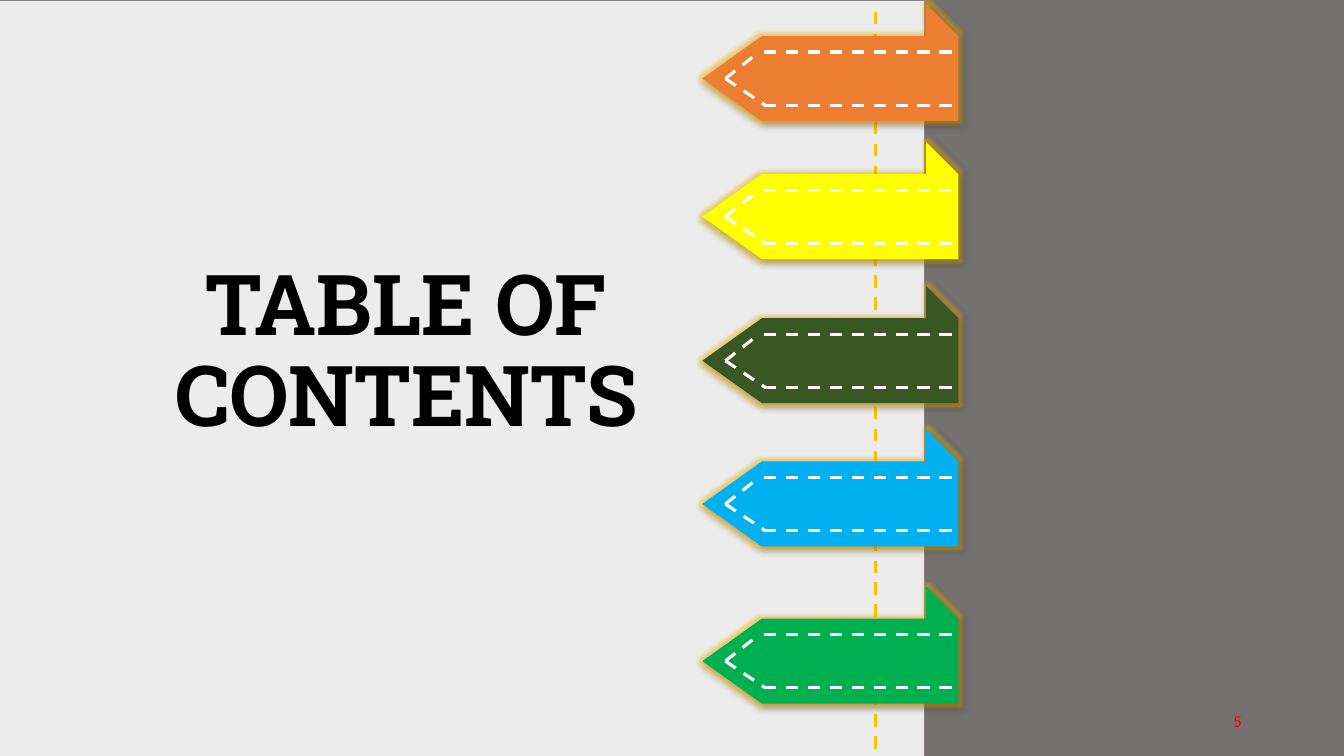
from dataclasses import dataclass

from lxml.etree import SubElement
from pptx import Presentation
from pptx.dml.color import RGBColor
from pptx.enum.dml import MSO_LINE
from pptx.enum.shapes import MSO_CONNECTOR, MSO_SHAPE
from pptx.enum.text import MSO_ANCHOR, PP_ALIGN
from pptx.oxml.ns import qn
from pptx.util import Cm, Pt


@dataclass(frozen=True)
class Theme:
    back: str = "767171"
    panel: str = "F2F2F2"
    gold: str = "FFC000"
    stitch: str = "FFFFFF"
    dark: str = "000000"
    number: str = "FF0000"
    flags: tuple = ("ED7D31", "FFFF00", "385723", "00B0F0", "00B050")
    head_font: str = "Roboto Slab"
    body_font: str = "Calibri"
    head_size: int = 60
    note_size: int = 12
    dash: float = 2.25


THEME = Theme()
FLAG_TOPS = (0.1, 3.58, 7.21, 10.82, 14.78)


def rgb(code):
    return RGBColor.from_string(code)


def tint(node, code, alpha):
    """Add a colour with an opacity in percent to an effect."""
    color = SubElement(node, qn("a:srgbClr"), val=code)
    SubElement(color, qn("a:alpha"), val=str(alpha * 1000))


def paint(shape, code, shade, glow=None):
    """Fill a shape, drop its outline and set its glow and shadow."""
    shape.fill.solid()
    shape.fill.fore_color.rgb = rgb(code)
    shape.line.fill.background()
    shape.shadow.inherit = False
    effects = shape.element.spPr.find(qn("a:effectLst"))
    if glow:
        halo = SubElement(effects, qn("a:glow"), rad=str(Pt(5)))
        tint(halo, glow, 40)
    drop = SubElement(effects, qn("a:outerShdw"), blurRad=str(Pt(4)),
                      dist=str(Pt(3)), dir="2700000", algn="tl",
                      rotWithShape="0")
    tint(drop, shade, 40)


def dashed(shapes, start, end, code):
    line = shapes.add_connector(MSO_CONNECTOR.STRAIGHT, *start, *end)
    line.line.color.rgb = rgb(code)
    line.line.width = Pt(THEME.dash)
    line.line.dash_style = MSO_LINE.DASH
    SubElement(line.element.spPr, qn("a:effectLst"))


def write(frame, text, font, size, code, align, bold=False):
    frame.word_wrap = True
    frame.vertical_anchor = MSO_ANCHOR.MIDDLE
    para = frame.paragraphs[0]
    para.alignment = align
    run = para.add_run()
    run.text = text
    run.font.name = font
    run.font.size = Pt(size)
    run.font.bold = bold
    run.font.color.rgb = rgb(code)
    return para


def add_panel(slide, left, top, width, height):
    """Place the pale panel behind everything, with its dashed seam."""
    panel = slide.shapes.add_shape(MSO_SHAPE.RECTANGLE, left, top, width, height)
    paint(panel, THEME.panel, THEME.back)
    fill = panel.element.spPr.find(qn("a:solidFill"))
    SubElement(fill[0], qn("a:alpha"), val="96000")
    slide.shapes.element.insert(2, panel.element)
    seam = left + width - Cm(1.22)
    dashed(slide.shapes, (seam, top + Cm(0.28)),
           (seam, top + height + Cm(0.28)), THEME.gold)


def add_title(slide, left, top, width, height):
    title = slide.shapes.title
    title.left, title.top, title.width, title.height = left, top, width, height
    para = write(title.text_frame, "TABLE OF CONTENTS", THEME.head_font,
                 THEME.head_size, THEME.dark, PP_ALIGN.CENTER, True)
    para.line_spacing = 0.9


def add_flag(slide, left, top, width, height, code):
    """Draw a pointed ribbon with a folded corner and stitched edges."""
    shapes = slide.shapes.add_group_shape().shapes
    right, low = left + width, top + height
    half = Cm(1.07)
    mid, high = low - half, low - 2 * half
    neck, fold = left + Cm(1.5), right - Cm(0.81)

    form = shapes.build_freeform(neck, high)
    form.add_line_segments([(right, high), (right, low), (neck, low),
                            (left, mid)])
    form.move_to(fold, top)
    form.add_line_segments([(right, high), (fold, high)])
    paint(form.convert_to_shape(), code, THEME.dark, THEME.gold)

    tip = (left + Cm(0.58), mid)
    for gap, bend in ((Cm(-0.67), Cm(1.43)), (Cm(0.67), Cm(1.58))):
        edge = mid + gap
        dashed(shapes, (left + Cm(1.55), edge), (right, edge), THEME.stitch)
        dashed(shapes, tip, (left + bend, edge), THEME.stitch)


def add_number(slide, left, top, width, height):
    box = slide.shapes.add_textbox(left, top, width, height)
    write(box.text_frame, "5", THEME.body_font, THEME.note_size,
          THEME.number, PP_ALIGN.RIGHT)


def main():
    deck = Presentation()
    deck.slide_width, deck.slide_height = Cm(33.87), Cm(19.05)
    slide = deck.slides.add_slide(deck.slide_layouts[5])
    slide.background.fill.solid()
    slide.background.fill.fore_color.rgb = rgb(THEME.back)

    add_panel(slide, 0, Cm(0.02), Cm(23.29), Cm(19.05))
    add_title(slide, Cm(2.34), Cm(6.22), Cm(15.8), Cm(5.38))
    for top, code in zip(FLAG_TOPS, THEME.flags):
        add_flag(slide, Cm(17.7), Cm(top), Cm(6.45), Cm(2.95), code)
    add_number(slide, Cm(23.93), Cm(17.65), Cm(7.62), Cm(1.02))
    deck.save("out.pptx")


if __name__ == "__main__":
    main()
